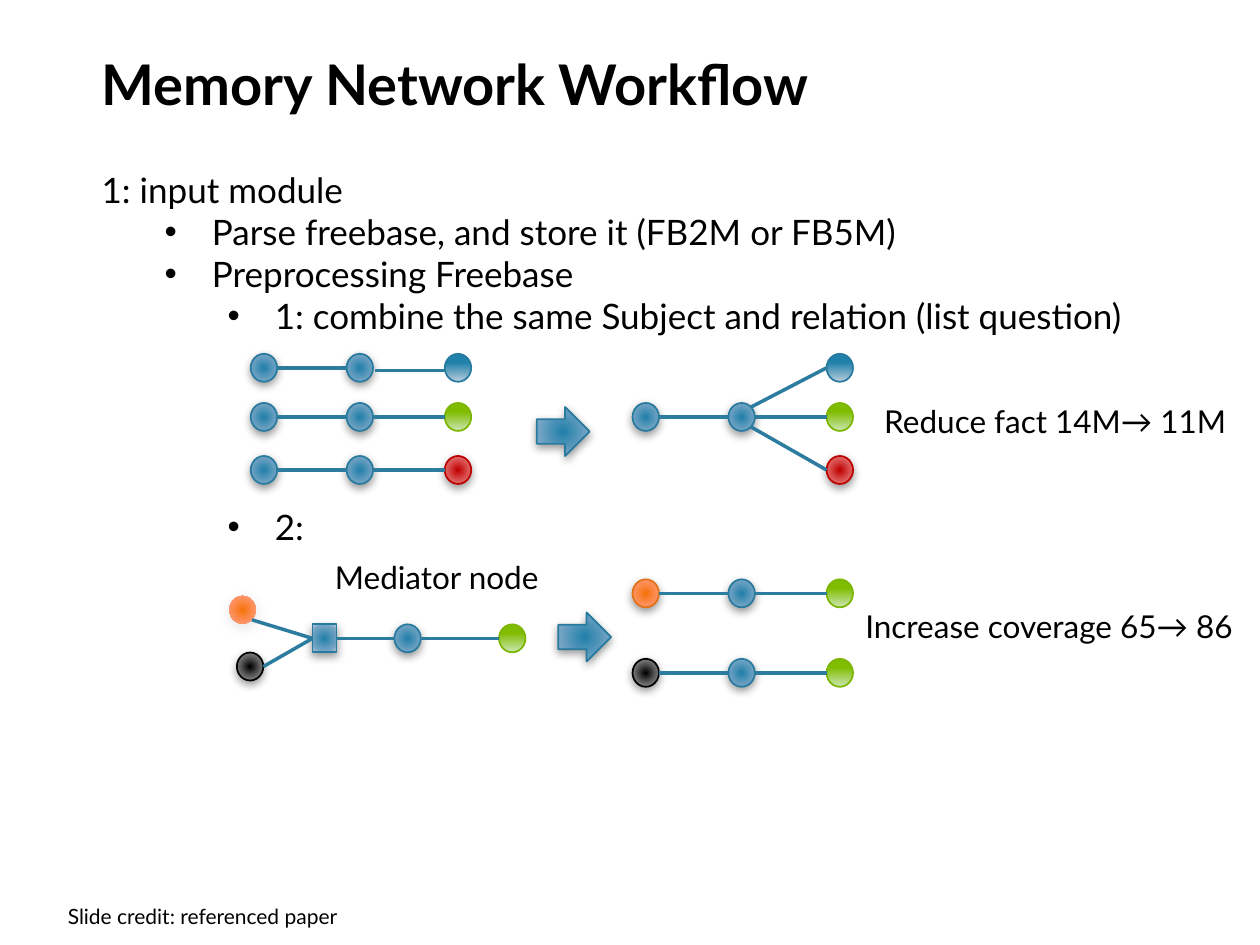
"""Build the Memory Network Workflow slide with its fact graphs."""
from dataclasses import dataclass

from lxml.etree import SubElement
from pptx import Presentation
from pptx.dml.color import RGBColor
from pptx.enum.shapes import MSO_CONNECTOR, MSO_SHAPE
from pptx.enum.text import MSO_AUTO_SIZE
from pptx.oxml import parse_xml
from pptx.oxml.ns import nsdecls, qn
from pptx.util import Pt


@dataclass(frozen=True)
class Finish:
    stops: tuple
    outline: str | None
    radial: bool = True
    shadow: tuple | None = ("000000", 5)


@dataclass(frozen=True)
class Theme:
    font: str = "Lato"
    ink: str = "000000"
    edge: str = "2C7C9F"
    title: int = 32
    body: int = 20
    label: int = 18
    credit: int = 12
    blue: Finish = Finish(((0, "2180AA"), (69, "75A5C5"), (100, "B8CCDC")), "287A9E")
    red: Finish = Finish(((0, "C00000"), (69, "E36B6B"), (100, "ECB3B3")), "BC0000")
    black: Finish = Finish(((0, "000000"), (69, "7F7F7F"), (100, "BDBDBD")), "000000")
    orange: Finish = Finish(((0, "F67309"), (69, "FF9569"), (100, "FEC3B0")), "E27218")
    soft_orange: Finish = Finish(orange.stops, None, shadow=("C0C0C0", 7))
    sky: Finish = Finish(((31, "2081AB"), (100, "B8CCDC")), "287A9E", False, None)
    green: Finish = Finish(((31, "80BC00"), (100, "CBE7B4")), "7DB602", False, None)


THEME = Theme()
NODE_WIDTH, NODE_HEIGHT = 15.1, 16
REACH = NODE_WIDTH / 2
SUBJECT, RELATION, OBJECT = 150.8, 205.6, 261.7
RESULT_SHIFT = 218.2
LIST_ROWS = {210.2: THEME.sky, 238.3: THEME.green, 268.6: THEME.red}
SPLIT_ROWS = {339.1: THEME.orange, 384.5: THEME.black}
OUTLINE_ITEMS = (
    ("1: input module", 0, 0),
    ("Parse freebase, and store it (FB2M or FB5M)", 63, 0),
    ("Preprocessing Freebase", 63, 0),
    ("1: combine the same Subject and relation (list question)", 99, 0),
    ("2:", 99, 96),
)


def apply_formats(target, formats):
    """Set each named format value on the target."""
    for name, value in formats.items():
        setattr(target, name, value)


def add_bullet(paragraph, indent):
    """Give the paragraph a round bullet with a hanging indent."""
    properties = paragraph._p.get_or_add_pPr()
    properties.set("marL", str(Pt(indent)))
    properties.set("indent", str(Pt(-27)))
    SubElement(properties, qn("a:buFont")).set("typeface", "Arial")
    SubElement(properties, qn("a:buChar")).set("char", "•")


def add_text(slide, place, items, size, bold=False, wrap=True):
    """Add a text box of (wording, indent, space before) paragraphs."""
    frame = slide.shapes.add_textbox(*map(Pt, place)).text_frame
    apply_formats(frame, {"word_wrap": wrap,
                          "auto_size": MSO_AUTO_SIZE.SHAPE_TO_FIT_TEXT})
    for index, (wording, indent, gap) in enumerate(items):
        paragraph = frame.add_paragraph() if index else frame.paragraphs[0]
        if gap:
            paragraph.space_before = Pt(gap)
        if indent:
            add_bullet(paragraph, indent)
        run = paragraph.add_run()
        run.text = wording
        apply_formats(run.font, {"name": THEME.font, "size": Pt(size), "bold": bold})
        run.font.color.rgb = RGBColor.from_string(THEME.ink)


def add_label(slide, place, wording, size=THEME.label):
    """Add a one-line unwrapped label."""
    add_text(slide, place, [(wording, 0, 0)], size, wrap=False)


def gradient_fill(finish):
    """Return the gradient fill element of a finish."""
    stops = "".join(
        f'<a:gs pos="{place * 1000}"><a:srgbClr val="{color}"/></a:gs>'
        for place, color in finish.stops)
    everywhere = " ".join(f'{side}="100000"' for side in "ltrb")
    course = (f'<a:path path="circle"><a:fillToRect {everywhere}/></a:path>'
              if finish.radial else '<a:lin ang="5400000" scaled="0"/>')
    return parse_xml(f'<a:gradFill {nsdecls("a")} rotWithShape="1">'
                     f"<a:gsLst>{stops}</a:gsLst>{course}</a:gradFill>")


def cast_shadow(properties, color, blur):
    """Add a soft shadow straight below the shape."""
    properties.find(qn("a:effectLst")).append(parse_xml(
        f'<a:outerShdw {nsdecls("a")} blurRad="{Pt(blur)}" dist="{Pt(2)}" '
        f'dir="5400000" rotWithShape="0"><a:srgbClr val="{color}">'
        '<a:alpha val="40000"/></a:srgbClr></a:outerShdw>'))


def add_figure(slide, center, finish, kind=MSO_SHAPE.OVAL,
               width=NODE_WIDTH, height=NODE_HEIGHT):
    """Add a gradient figure around its center."""
    x, y = center
    figure = slide.shapes.add_shape(
        kind, Pt(x - width / 2), Pt(y - height / 2), Pt(width), Pt(height))
    properties = figure._element.spPr
    properties.find(qn("a:prstGeom")).addnext(gradient_fill(finish))
    figure.shadow.inherit = False
    if finish.outline:
        figure.line.color.rgb = RGBColor.from_string(finish.outline)
        figure.line.width = Pt(1)
    else:
        figure.line.fill.background()
    if finish.shadow:
        cast_shadow(properties, *finish.shadow)


def add_edge(slide, start, end):
    """Join two points with a plain line."""
    edge = slide.shapes.add_connector(
        MSO_CONNECTOR.STRAIGHT, *map(Pt, (*start, *end)))
    edge.line.color.rgb = RGBColor.from_string(THEME.edge)
    edge.line.width = Pt(2)
    SubElement(edge._element.spPr, qn("a:effectLst"))


def add_fact(slide, y, nodes, object_offset=(0, 0)):
    """Add a row of (x, finish) nodes joined in order."""
    for x, finish in nodes:
        add_figure(slide, (x, y), finish)
    last = len(nodes) - 2
    for index, ((left, _), (right, _)) in enumerate(zip(nodes, nodes[1:])):
        shift, drop = object_offset if index == last else (0, 0)
        add_edge(slide, (left + REACH + shift, y + drop), (right - REACH, y + drop))


def add_list_merge(slide):
    """Show three facts merging into one fact with three objects."""
    result_relation, result_object = RELATION + RESULT_SHIFT, OBJECT + RESULT_SHIFT
    top, middle, bottom = LIST_ROWS
    for y, finish in LIST_ROWS.items():
        add_fact(slide, y, [(SUBJECT, THEME.blue), (RELATION, THEME.blue),
                            (OBJECT, finish)], (1.4, 1.6) if y == top else (0, 0))
    add_fact(slide, middle, [(SUBJECT + RESULT_SHIFT, THEME.blue),
                             (result_relation, THEME.blue),
                             (result_object, LIST_ROWS[middle])])
    for y, bend in ((top, -5.7), (bottom, 5.7)):
        add_figure(slide, (result_object, y), LIST_ROWS[y])
        add_edge(slide, (result_object - REACH, y),
                 (result_relation + 5.4, middle + bend))


def add_mediator_split(slide):
    """Show a mediator node replaced by two direct facts."""
    y, mediator = 364.8, 185.4
    mediator_left, mediator_right = mediator - 6.8, mediator + 6.8
    relation = 232.9
    add_fact(slide, y, [(relation, THEME.blue), (292.7, THEME.green)])
    add_figure(slide, (mediator, y), THEME.blue, MSO_SHAPE.RECTANGLE, 13.7)
    add_edge(slide, (relation - REACH, y), (mediator_right, y))
    for center, finish, start in (
            ((138.6, 348.5), THEME.soft_orange, (144, 354.2)),
            ((142.9, 380.9), THEME.black, (150.5, 380.9))):
        add_figure(slide, center, finish)
        add_edge(slide, start, (mediator_left, y))
    for row, finish in SPLIT_ROWS.items():
        add_fact(slide, row, [(SUBJECT + RESULT_SHIFT, finish),
                              (RELATION + RESULT_SHIFT, THEME.blue),
                              (OBJECT + RESULT_SHIFT, THEME.green)])


def main():
    """Build and save the slide."""
    deck = Presentation()
    apply_formats(deck, {"slide_width": Pt(720), "slide_height": Pt(540)})
    slide = deck.slides.add_slide(deck.slide_layouts[6])
    add_text(slide, (51, 24.5, 620, 46), [("Memory Network Workflow", 0, 0)],
             THEME.title, bold=True)
    add_label(slide, (31.7, 512.6, 185, 21.6), "Slide credit: referenced paper",
              THEME.credit)
    add_text(slide, (51, 93, 669, 346), OUTLINE_ITEMS, THEME.body)
    add_list_merge(slide)
    add_mediator_split(slide)
    for center in ((321.8, 246.6), (334.1, 364)):
        add_figure(slide, center, THEME.blue, MSO_SHAPE.RIGHT_ARROW, 30.2, 28)
    add_label(slide, (184.3, 315.4, 139.7, 29), "Mediator node")
    add_label(slide, (498.2, 226, 221.8, 29), "Reduce fact 14M→ 11M")
    add_label(slide, (487.4, 343.4, 237.6, 29), "Increase coverage 65→ 86")
    deck.save("out.pptx")


if __name__ == "__main__":
    main()
